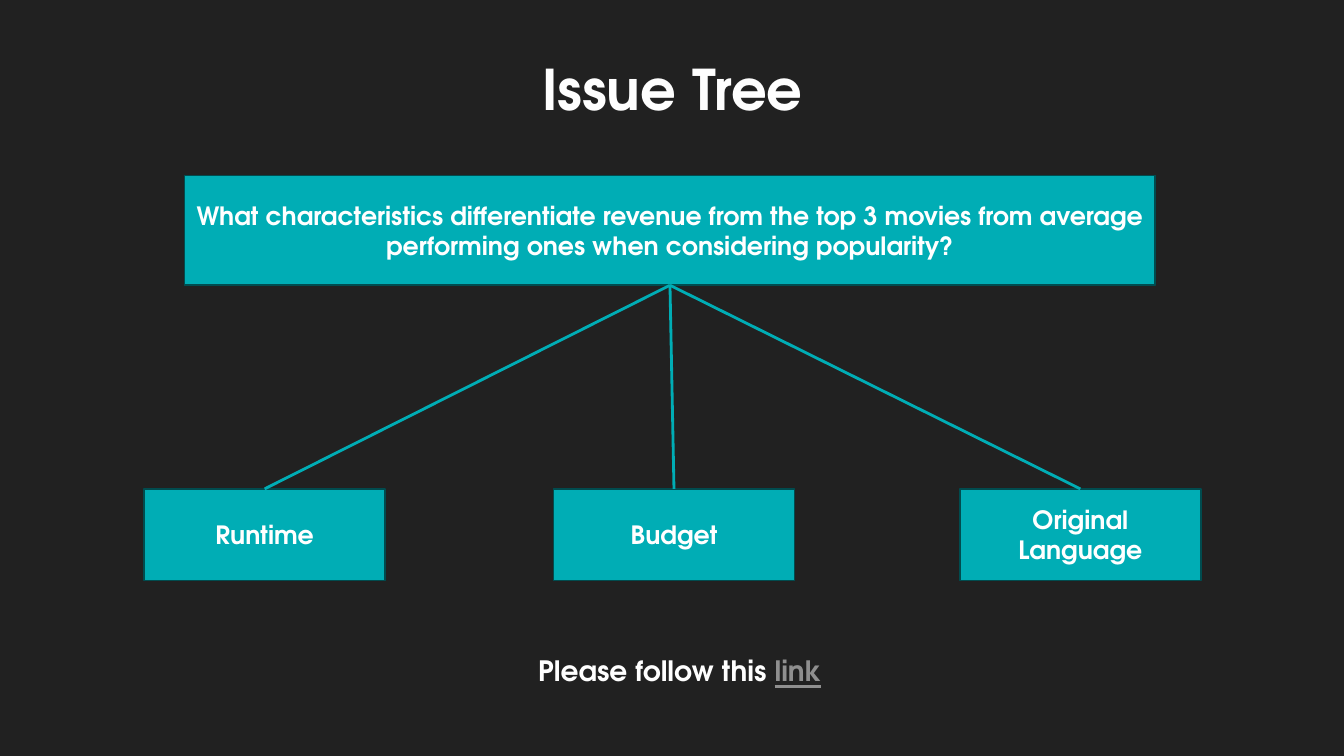
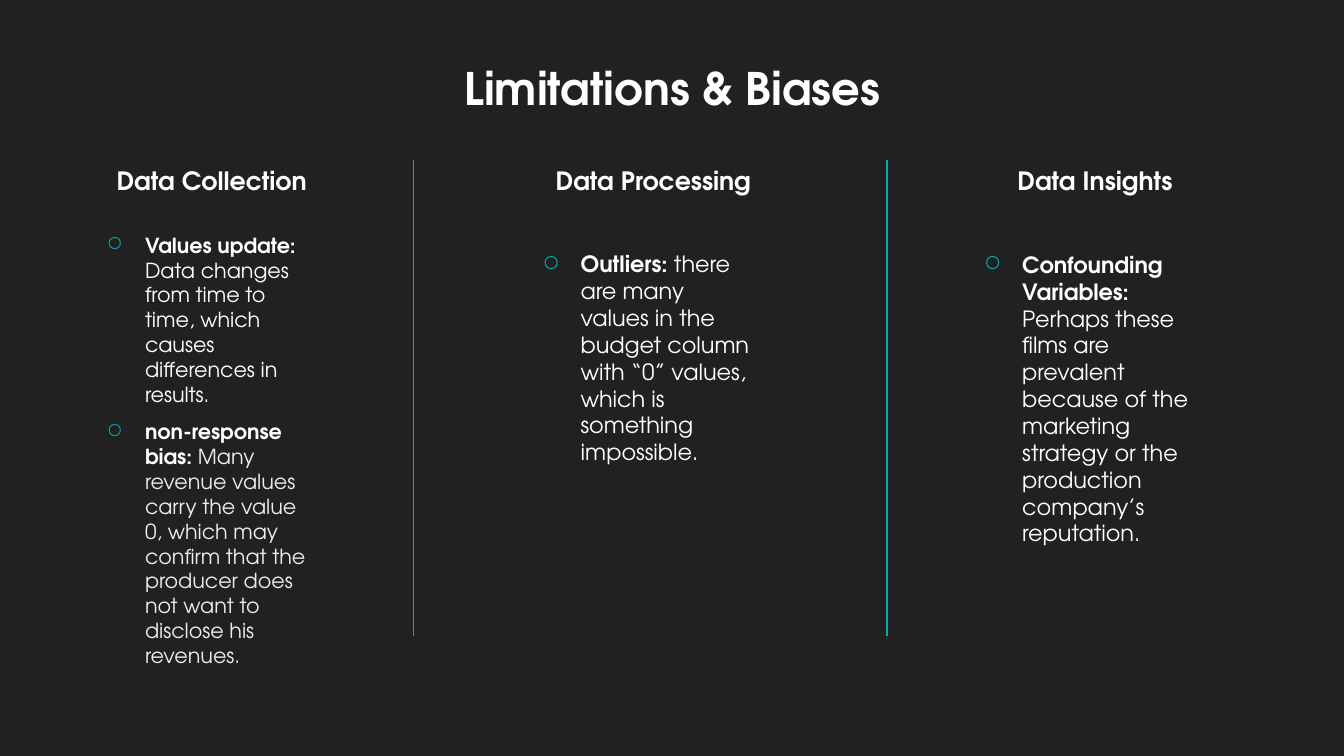
"""Build two dark slides: an issue tree and a three-column list of limitations."""
import lxml.etree
import pptx
import pptx.dml.color
import pptx.enum.shapes
import pptx.enum.text
import pptx.oxml.ns
import pptx.util

PX = 9144
FONT = "TeX Gyre Adventor"
COLORS = {
    "background": "212121",
    "accent": "00ADB5",
    "outline": "004C4F",
    "title": "FEFEFE",
    "text": "FFFFFF",
    "soft": "ECECF1",
    "link": "8F8F8F",
}
ALIGN = pptx.enum.text.PP_ALIGN
ANCHOR = pptx.enum.text.MSO_ANCHOR
QN = pptx.oxml.ns.qn

QUESTION = (
    "What characteristics differentiate revenue from the top 3 movies "
    "from average performing ones when considering popularity?"
)
BRANCHES = [(143, "Runtime"), (549, "Budget"), (952, "Original Language")]
COLUMNS = [
    ("Data Collection", (96, 240, 228, 413), 14.8, [
        ("Values update: ",
         "Data changes from time to time, which causes differences in results.",
         "text"),
        ("non-response bias: ",
         "Many revenue values carry the value 0, which may confirm that the "
         "producer does not want to disclose his revenues.",
         "soft"),
    ]),
    ("Data Processing", (528, 216, 228, 278), 16, [
        ("Outliers: ",
         "there are many values in the budget column with “0” values, "
         "which is something impossible.",
         "text"),
    ]),
    ("Data Insights", (966, 216, 228, 359), 16, [
        ("Confounding Variables: ",
         "Perhaps these films are prevalent because of the marketing strategy "
         "or the production company’s reputation.",
         "text"),
    ]),
]


def px(*lengths):
    return [pptx.util.Emu(length * PX) for length in lengths]


def rgb(name):
    return pptx.dml.color.RGBColor.from_string(COLORS[name])


def add_page(deck):
    page = deck.slides.add_slide(deck.slide_layouts[6])
    page.background.fill.solid()
    page.background.fill.fore_color.rgb = rgb("background")
    return page


def add_span(para, text, size, color="text", bold=True, underline=False):
    span = para.add_run()
    span.text = text
    span.font.name = FONT
    span.font.size = pptx.util.Pt(size)
    span.font.bold = bold
    span.font.color.rgb = rgb(color)
    if underline:
        span.font.underline = True


def add_box(page, place, anchor=ANCHOR.TOP):
    box = page.shapes.add_textbox(*px(*place))
    box.text_frame.word_wrap = True
    box.text_frame.vertical_anchor = anchor
    return box


def add_label(page, place, text, size, color="text", anchor=ANCHOR.TOP):
    para = add_box(page, place, anchor).text_frame.paragraphs[0]
    para.alignment = ALIGN.CENTER
    add_span(para, text, size, color)


def add_node(page, place, text):
    node = page.shapes.add_shape(
        pptx.enum.shapes.MSO_SHAPE.RECTANGLE, *px(*place))
    node.shadow.inherit = False
    node.fill.solid()
    node.fill.fore_color.rgb = rgb("accent")
    node.line.color.rgb = rgb("outline")
    node.line.width = pptx.util.Pt(1.25)
    node.text_frame.word_wrap = True
    node.text_frame.vertical_anchor = ANCHOR.MIDDLE
    para = node.text_frame.paragraphs[0]
    para.alignment = ALIGN.CENTER
    add_span(para, text, 18)
    return node


def add_line(page, start, end, width):
    line = page.shapes.add_connector(
        pptx.enum.shapes.MSO_CONNECTOR.STRAIGHT, *px(*start, *end))
    line.line.color.rgb = rgb("accent")
    line.line.width = pptx.util.Pt(width)
    lxml.etree.SubElement(line.element.spPr, QN("a:effectLst"))
    return line


def join_nodes(page, parent, child):
    line = add_line(page, (0, 0), (0, 0), 2)
    line.begin_connect(parent, 2)
    line.end_connect(child, 0)


def set_bullet(para):
    para.space_before = pptx.util.Pt(3)
    para.space_after = pptx.util.Pt(6)
    properties = para._p.get_or_add_pPr()
    indent = 38 * PX
    properties.set("marL", str(indent))
    properties.set("indent", str(-indent))
    color = lxml.etree.SubElement(properties, QN("a:buClr"))
    lxml.etree.SubElement(color, QN("a:srgbClr"), val=COLORS["accent"])
    lxml.etree.SubElement(properties, QN("a:buChar"), char="○")


def add_bullets(page, place, size, items):
    frame = add_box(page, place, ANCHOR.MIDDLE).text_frame
    for index, (term, detail, color) in enumerate(items):
        para = frame.add_paragraph() if index else frame.paragraphs[0]
        set_bullet(para)
        add_span(para, term, size)
        add_span(para, detail, size, color, bold=False)


def build_issue_tree(deck):
    page = add_page(deck)
    add_label(page, (89, 49, 1156, 106), "Issue Tree", 40, "title")
    root = add_node(page, (183, 174, 963, 109), QUESTION)
    nodes = [add_node(page, (left, 485, 239, 91), text)
             for left, text in BRANCHES]
    for node in nodes:
        join_nodes(page, root, node)
    para = add_box(page, (524, 643, 344, 44)).text_frame.paragraphs[0]
    add_span(para, "Please follow this ", 20)
    add_span(para, "link", 20, "link", underline=True)


def build_limitations(deck):
    page = add_page(deck)
    add_label(page, (89, 47, 1156, 71), "Limitations & Biases", 32, "title",
              ANCHOR.BOTTOM)
    for index, (heading, place, size, items) in enumerate(COLUMNS):
        add_label(page, (90 + 438 * index, 159, 240, 40), heading, 18)
        add_bullets(page, place, size, items)
    for left in (410, 880):
        add_line(page, (left, 159), (left, 631), 1.25)


def main():
    deck = pptx.Presentation()
    deck.slide_width, deck.slide_height = px(1333, 750)
    build_issue_tree(deck)
    build_limitations(deck)
    deck.save("out.pptx")


if __name__ == "__main__":
    main()
